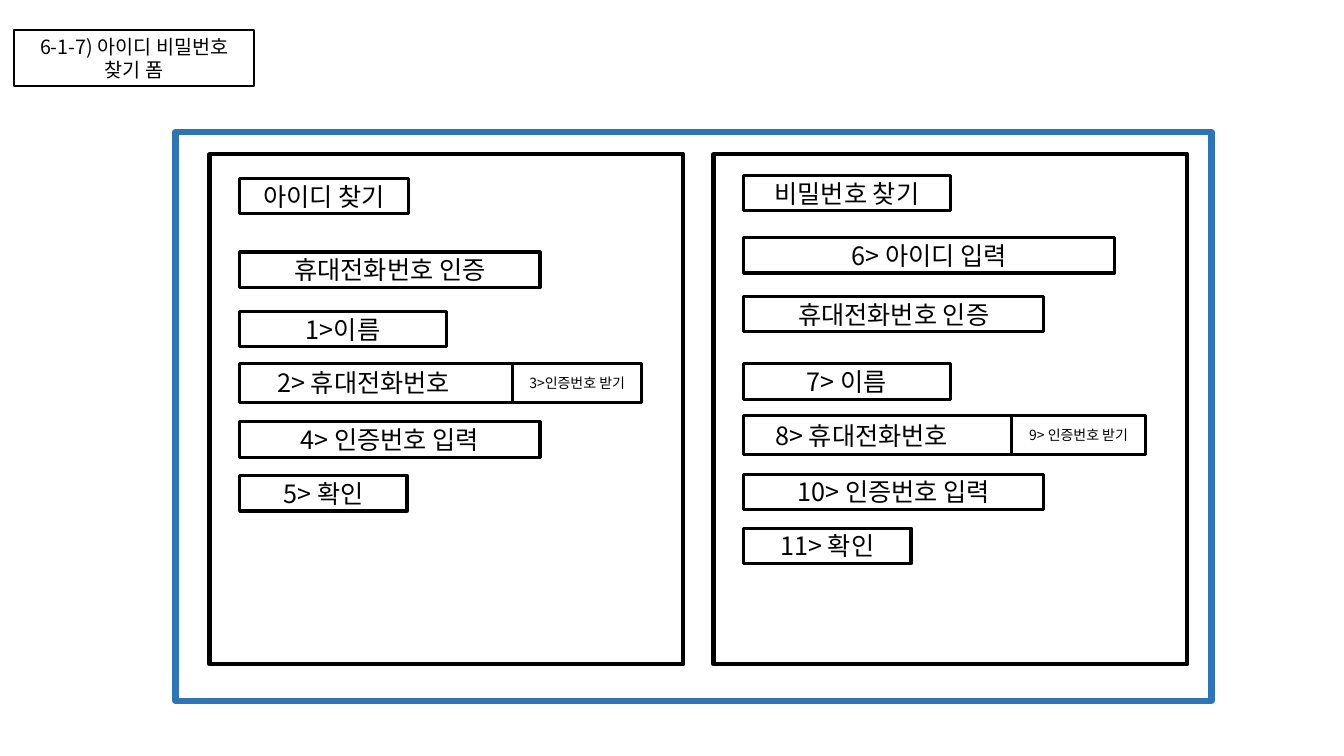
from pptx import Presentation
from pptx.dml.color import RGBColor
from pptx.enum.shapes import MSO_SHAPE as SHAPE
from pptx.enum.text import MSO_ANCHOR as ANCHOR, PP_ALIGN as ALIGN
from pptx.oxml.ns import qn
from pptx.util import Cm, Pt
from lxml.etree import SubElement

BLACK = RGBColor(0x00, 0x00, 0x00)
WHITE = RGBColor(0xFF, 0xFF, 0xFF)
BLUE = RGBColor(0x2E, 0x75, 0xB6)

PANEL_TOP, PANEL_W, PANEL_H = 3.89, 11.94, 12.85
FIELD_INSET, FIELD_H, PHONE_H = 0.76, 0.89, 0.99
HEADING_W, NAME_W, CODE_W, PHONE_W, OK_W = 7.57, 5.21, 7.57, 10.13, 4.22


class Wireframe:
    """Draws the boxes, fields and panels of a form on one slide."""

    font = "Noto Sans CJK KR"

    def __init__(self, slide):
        self.s = slide

    def box(self, x, y, w, h, line=BLACK, weight=2.25):
        sp = self.s.shapes.add_shape(SHAPE.RECTANGLE, Cm(x), Cm(y), Cm(w), Cm(h))
        sp.shadow.inherit = False
        sp.fill.solid()
        sp.fill.fore_color.rgb = WHITE
        sp.line.color.rgb = line
        sp.line.width = Pt(weight)
        return sp

    def field(self, text, x, y, w, h=FIELD_H, size=18, weight=2.25, indent=None):
        tf = self.box(x, y, w, h, weight=weight).text_frame
        tf.word_wrap = True
        tf.vertical_anchor = ANCHOR.MIDDLE
        tf.text = text
        p = tf.paragraphs[0]
        p.alignment = ALIGN.CENTER
        if indent is not None:
            p.alignment = ALIGN.LEFT
            tf.margin_left = Cm(indent)
        for r in p.runs:
            r.font.size = Pt(size)
            r.font.name = self.font
            r.font.color.rgb = BLACK
            SubElement(r.font._element, qn("a:ea"), typeface=self.font)

    def panel(self, x, title, title_y, title_w):
        self.box(x, PANEL_TOP, PANEL_W, PANEL_H, weight=3)
        self.field(title, x + FIELD_INSET, title_y, title_w)

    def verification(self, x, heading_y, name_y, labels, indent, send_w):
        name, phone, send, code, ok = labels
        phone_y = name_y + 1.3
        self.field("휴대전화번호 인증", x, heading_y, HEADING_W)
        self.field(name, x, name_y, NAME_W)
        self.field(phone, x, phone_y, PHONE_W, PHONE_H, indent=indent)
        self.field(send, x + PHONE_W - send_w, phone_y, send_w, PHONE_H, size=10)
        self.field(code, x, name_y + 2.78, CODE_W)
        self.field(ok, x, name_y + 4.14, OK_W)


def main():
    prs = Presentation()
    prs.slide_width, prs.slide_height = Cm(33.87), Cm(19.05)
    form = Wireframe(prs.slides.add_slide(prs.slide_layouts[6]))

    form.box(4.42, 3.33, 26.11, 14.33, line=BLUE, weight=4.5)
    form.field("6-1-7) 아이디 비밀번호 찾기 폼", 0.36, 0.76, 6.05, 1.42, size=14, weight=1.5)

    id_x, password_x = 5.28, 17.98
    form.panel(id_x, "아이디 찾기", 4.5, 4.25)
    form.verification(
        id_x + FIELD_INSET, 6.35, 7.85,
        ["1>이름", "2> 휴대전화번호", "3>인증번호 받기", "4> 인증번호 입력", "5> 확인"],
        indent=0.95, send_w=3.25)

    form.panel(password_x, "비밀번호 찾기", 4.42, 5.21)
    form.field("6> 아이디 입력", password_x + FIELD_INSET, 5.99, 9.35)
    form.verification(
        password_x + FIELD_INSET, 7.47, 9.17,
        ["7> 이름", "8> 휴대전화번호", "9> 인증번호 받기", "10> 인증번호 입력", "11> 확인"],
        indent=0.8, send_w=3.38)

    prs.save("out.pptx")


if __name__ == "__main__":
    main()
